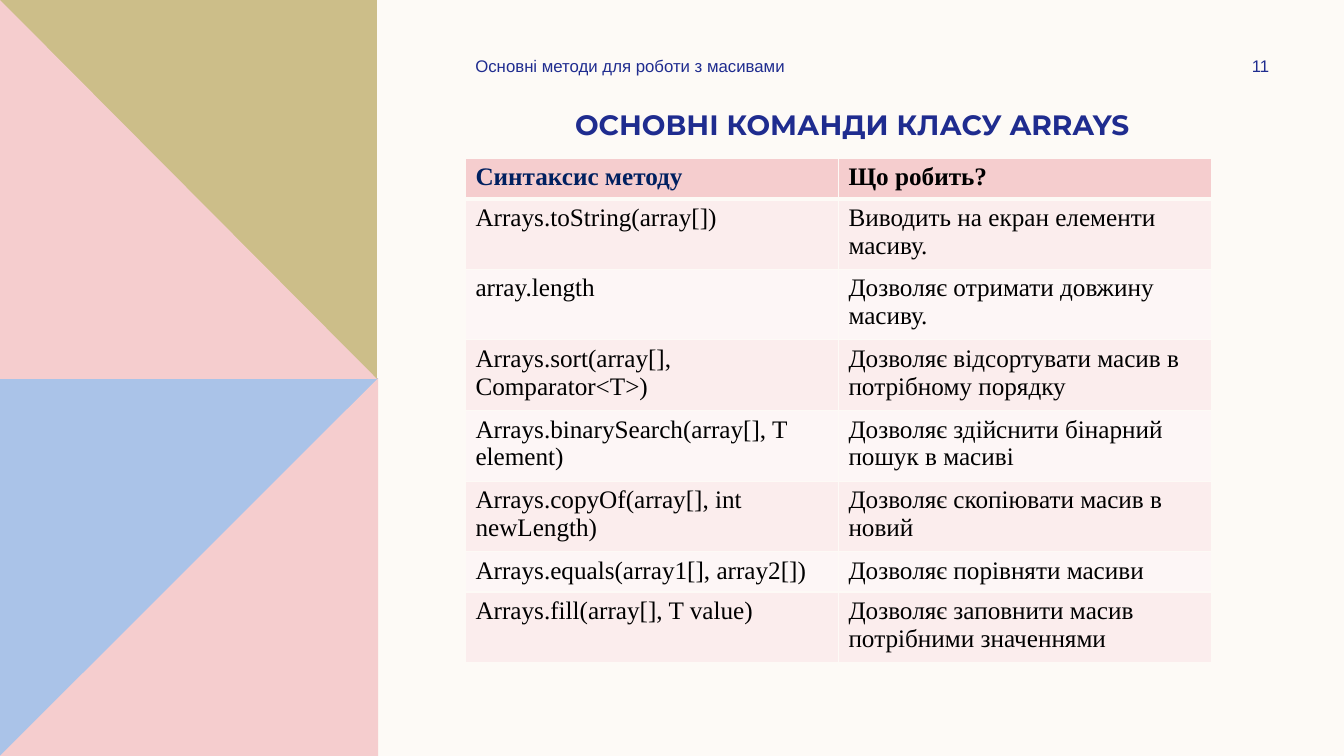
"""Build the slide about the main commands of the Arrays class."""
from lxml import etree
from pptx import Presentation
from pptx.dml.color import RGBColor
from pptx.enum.text import MSO_ANCHOR, MSO_AUTO_SIZE, PP_ALIGN
from pptx.oxml.ns import qn
from pptx.util import Cm, Pt

LEFT, CENTER = PP_ALIGN.LEFT, PP_ALIGN.CENTER
TOP, MIDDLE = MSO_ANCHOR.TOP, MSO_ANCHOR.MIDDLE
NO_AUTOFIT = MSO_AUTO_SIZE.NONE
CREAM, PINK, BLUE, OLIVE = "FDFAF6", "F5CDCE", "AAC3E8", "CCBE89"
INDIGO, NAVY, BLACK = "1F2C8F", "002060", "000000"
ROW_FILLS = ["FDF6F6", "FBEDED"]


def paint(fill, color):
    fill.solid()
    fill.fore_color.rgb = RGBColor.from_string(color)


def write(text_frame, text, font_name, size, color, bold=False, align=LEFT, anchor=TOP):
    text_frame.text = text
    text_frame.word_wrap = True
    text_frame.vertical_anchor = anchor
    paragraph = text_frame.paragraphs[0]
    paragraph.alignment = align
    font = paragraph.runs[0].font
    font.name, font.size, font.bold = font_name, Pt(size), bold
    font.color.rgb = RGBColor.from_string(color)


presentation = Presentation()
presentation.slide_width, presentation.slide_height = Cm(33.87), Cm(19.05)
slide = presentation.slides.add_slide(presentation.slide_layouts[5])
paint(slide.background.fill, CREAM)

panels = [
    (BLUE, [(0, 9.53), (9.53, 9.53), (9.53, 19.05), (0, 19.05)]),
    (PINK, [(9.53, 9.53), (9.53, 19.05), (0, 19.05)]),
    (OLIVE, [(0, 0), (9.5, 0), (9.5, 9.55), (0, 9.55)]),
    (PINK, [(0, 0), (9.5, 9.55), (0, 9.55)]),
]
for color, corners in panels:
    points = [(Cm(x), Cm(y)) for x, y in corners]
    builder = slide.shapes.build_freeform(*points[0])
    builder.add_line_segments(points[1:], close=True)
    panel = builder.convert_to_shape()
    panel.shadow.inherit = False
    panel.line.fill.background()
    paint(panel.fill, color)

header_items = [
    ("Основні методи для роботи з масивами", 11.73, 8.89, LEFT),
    ("11", 30.4, 2.74, CENTER),
]
for text, left, width, align in header_items:
    box = slide.shapes.add_textbox(Cm(left), Cm(1.27), Cm(width), Cm(0.76))
    write(box.text_frame, text, "Arial", 12, INDIGO, align=align, anchor=MIDDLE)

title = slide.shapes.title
title.left, title.top, title.width, title.height = Cm(11.18), Cm(2.59), Cm(20.6), Cm(2.13)
title.text_frame.auto_size = NO_AUTOFIT
write(title.text_frame, "ОСНОВНІ КОМАНДИ КЛАСУ ARRAYS", "Montserrat", 20, INDIGO,
      bold=True, align=CENTER)

methods = [
    ("Синтаксис методу", "Що робить?"),
    ("Arrays.toString(array[])", "Виводить на екран елементи масиву."),
    ("array.length", "Дозволяє отримати довжину масиву."),
    ("Arrays.sort(array[], Comparator<T>)", "Дозволяє відсортувати масив в потрібному порядку"),
    ("Arrays.binarySearch(array[], T element)", "Дозволяє здійснити бінарний пошук в масиві"),
    ("Arrays.copyOf(array[], int newLength)", "Дозволяє скопіювати масив в новий"),
    ("Arrays.equals(array1[], array2[])", "Дозволяє порівняти масиви"),
    ("Arrays.fill(array[], T value)", "Дозволяє заповнити масив потрібними значеннями"),
]
row_height = Cm(0.92)
table = slide.shapes.add_table(len(methods), 2, Cm(11.73), Cm(3.99), Cm(18.8),
                               row_height * len(methods)).table
for row_index, texts in enumerate(methods):
    table.rows[row_index].height = Cm(1.57) if row_index == 1 else row_height
    is_header = row_index == 0
    for column_index, text in enumerate(texts):
        cell = table.cell(row_index, column_index)
        color = NAVY if is_header and column_index == 0 else BLACK
        write(cell.text_frame, text, "Times New Roman", 18, color, bold=is_header)
        properties = cell._tc.get_or_add_tcPr()
        top_width = 3 if row_index == 1 else 1
        bottom_width = 3 if is_header else 1
        borders = [("a:lnL", 1), ("a:lnR", 1), ("a:lnT", top_width), ("a:lnB", bottom_width)]
        for tag, width in borders:
            border = etree.SubElement(properties, qn(tag), w=str(Pt(width)))
            border_fill = etree.SubElement(border, qn("a:solidFill"))
            etree.SubElement(border_fill, qn("a:srgbClr"), val=CREAM)
        paint(cell.fill, PINK if is_header else ROW_FILLS[row_index % 2])

presentation.save("out.pptx")
